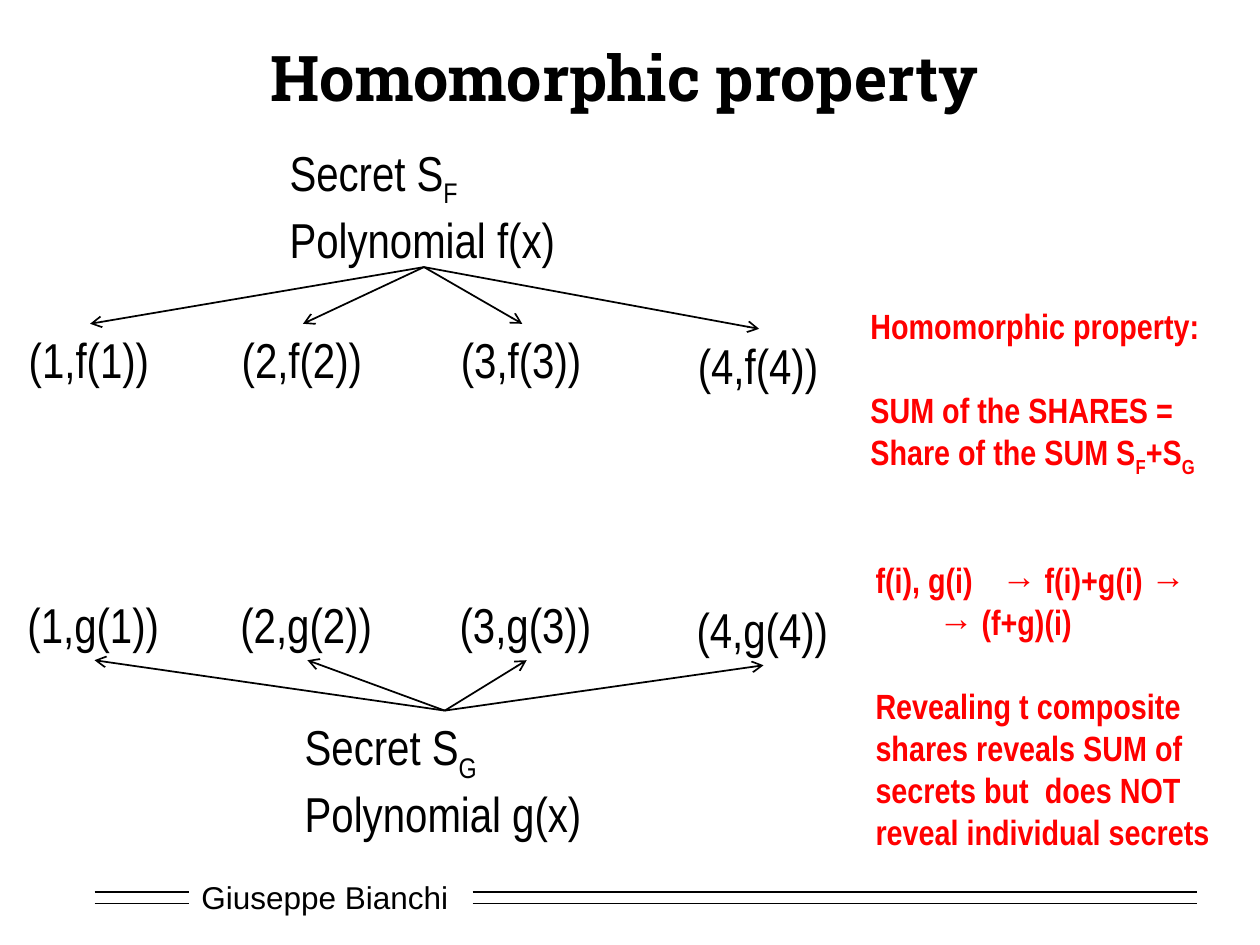
from dataclasses import dataclass

from lxml import etree
from pptx import Presentation
from pptx.dml.color import RGBColor
from pptx.enum.shapes import MSO_CONNECTOR, MSO_SHAPE
from pptx.enum.text import MSO_ANCHOR, MSO_AUTO_SIZE, PP_ALIGN
from pptx.oxml.ns import qn
from pptx.util import Pt

PX = 9144  # EMU per px, 100 px to the inch
BLACK = RGBColor(0x00, 0x00, 0x00)
WHITE = RGBColor(0xFF, 0xFF, 0xFF)
RED = RGBColor(0xFF, 0x00, 0x00)
STRAIGHT = MSO_CONNECTOR.STRAIGHT
RECTANGLE = MSO_SHAPE.RECTANGLE
MIDDLE = MSO_ANCHOR.MIDDLE
CENTER = PP_ALIGN.CENTER
FIXED_SIZE = MSO_AUTO_SIZE.NONE
TOP, BOTTOM = 0, 2
NARROW = "Arial Narrow"


@dataclass(frozen=True)
class Box:
    x: int
    y: int
    w: int
    h: int

    def emu(self) -> tuple[int, ...]:
        return tuple(v * PX for v in (self.x, self.y, self.w, self.h))


@dataclass(frozen=True)
class Para:
    """Pieces alternate between normal text and subscript."""
    pieces: tuple[str, ...]
    space_before: int = 0


@dataclass(frozen=True)
class Sharing:
    function: str
    secret: str
    secret_box: Box
    shares: tuple[Box, ...]
    secret_side: int
    share_side: int


def style_font(font, name: str, size: int, color: RGBColor, bold: bool = False) -> None:
    font.name = name
    font.size = Pt(size)
    font.bold = bold
    font.color.rgb = color


def add_text(s, box: Box, paras: list[Para], size: int, color: RGBColor = BLACK,
             bold: bool = False, wrap: bool = False):
    shape = s.shapes.add_textbox(*box.emu())
    tf = shape.text_frame
    tf.word_wrap = wrap
    tf.auto_size = FIXED_SIZE
    for i, para in enumerate(paras):
        p = tf.add_paragraph() if i else tf.paragraphs[0]
        if para.space_before:
            p.space_before = Pt(para.space_before)
        if len(para.pieces) == 1:
            p.text = para.pieces[0]
        else:
            for j, piece in enumerate(para.pieces):
                r = p.add_run()
                r.text = piece
                if j % 2:
                    r.font._element.set("baseline", "-25000")
        for r in p.runs:
            style_font(r.font, NARROW, size, color, bold)
    return shape


def add_line(s, x1: int = 0, y1: int = 0, x2: int = 0, y2: int = 0):
    line = s.shapes.add_connector(STRAIGHT, x1 * PX, y1 * PX, x2 * PX, y2 * PX)
    line.line.color.rgb = BLACK
    line.line.width = Pt(1)
    etree.SubElement(line._element.spPr, qn("a:effectLst"))
    return line


def add_arrow(s, start, start_side: int, end, end_side: int) -> None:
    arrow = add_line(s)
    arrow.begin_connect(start, start_side)
    arrow.end_connect(end, end_side)
    etree.SubElement(arrow.line._get_or_add_ln(), qn("a:tailEnd"), type="arrow")


def add_sharing(s, sharing: Sharing) -> None:
    """Draw a secret with arrows to each of its shares."""
    fn = sharing.function
    secret = add_text(s, sharing.secret_box,
                      [Para(("Secret S", sharing.secret)), Para((f"Polynomial {fn}(x)",))], 28)
    for i, box in enumerate(sharing.shares, 1):
        share = add_text(s, box, [Para((f"({i},{fn}({i}))",))], 28)
        add_arrow(s, secret, sharing.secret_side, share, sharing.share_side)


def add_footer(s, author: str) -> None:
    shape = s.shapes.add_shape(RECTANGLE, *Box(150, 692, 217, 40).emu())
    shape.shadow.inherit = False
    shape.fill.solid()
    shape.fill.fore_color.rgb = WHITE
    shape.line.fill.background()
    tf = shape.text_frame
    tf.word_wrap = True
    tf.vertical_anchor = MIDDLE
    tf.text = author
    p = tf.paragraphs[0]
    p.alignment = PP_ALIGN.LEFT
    style_font(p.runs[0].font, "Arial", 18, BLACK)
    for y in (708, 717):
        for x1, x2 in ((75, 150), (375, 950)):
            add_line(s, x1, y, x2, y)


def add_title(s, text: str) -> None:
    title = s.shapes.title
    title.left, title.top, title.width, title.height = Box(75, 25, 842, 71).emu()
    tf = title.text_frame
    tf.text = text
    tf.vertical_anchor = MIDDLE
    tf.auto_size = FIXED_SIZE
    p = tf.paragraphs[0]
    p.alignment = CENTER
    style_font(p.runs[0].font, "Roboto Slab", 36, BLACK, True)


SHARE_SPOTS = ((13, 257), (182, 257), (356, 257), (544, 261))
SHARINGS = (
    Sharing("f", "F", Box(220, 108, 233, 104),
            tuple(Box(x, y, 117, 57) for x, y in SHARE_SPOTS), BOTTOM, TOP),
    Sharing("g", "G", Box(232, 564, 242, 104),
            tuple(Box(x - 1, y + 210, 126, 57) for x, y in SHARE_SPOTS), TOP, BOTTOM),
)
PROPERTY = [
    Para(("Homomorphic property:",)),
    Para(("SUM of the SHARES =",), 24),
    Para(("Share of the SUM S", "F", "+S", "G")),
]
CONSEQUENCE = [
    Para(("f(i), g(i)\t→ f(i)+g(i) →",)),
    Para(("\t→ (f+g)(i)",)),
    Para(("Revealing t composite\vshares reveals SUM of\v"
          "secrets but  does NOT\vreveal individual secrets",), 24),
]


def main() -> None:
    prs = Presentation()
    prs.slide_width, prs.slide_height = 1000 * PX, 750 * PX
    s = prs.slides.add_slide(prs.slide_layouts[5])
    add_footer(s, "Giuseppe Bianchi")
    add_title(s, "Homomorphic property")
    for sharing in SHARINGS:
        add_sharing(s, sharing)
    add_text(s, Box(681, 237, 283, 145), PROPERTY, 20, RED, True)
    add_text(s, Box(685, 438, 315, 246), CONSEQUENCE, 20, RED, True, wrap=True)
    prs.save("out.pptx")


if __name__ == "__main__":
    main()
